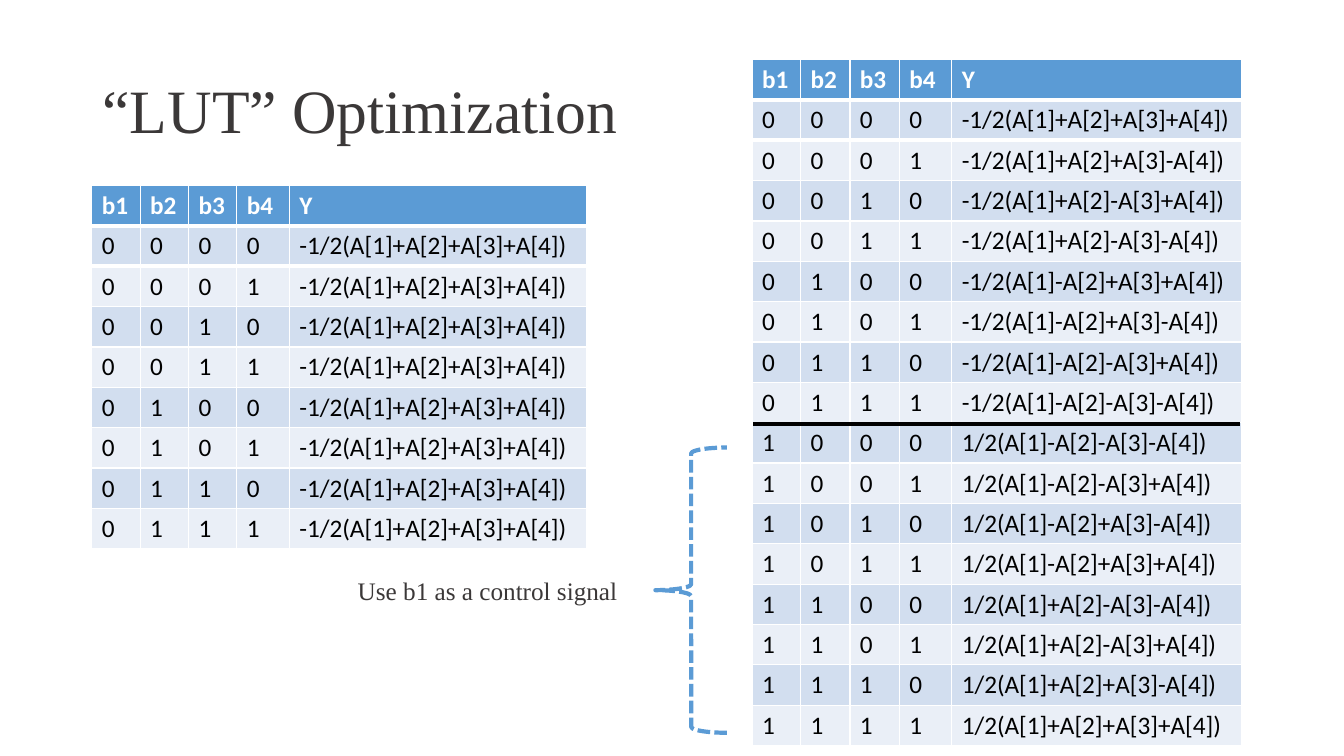
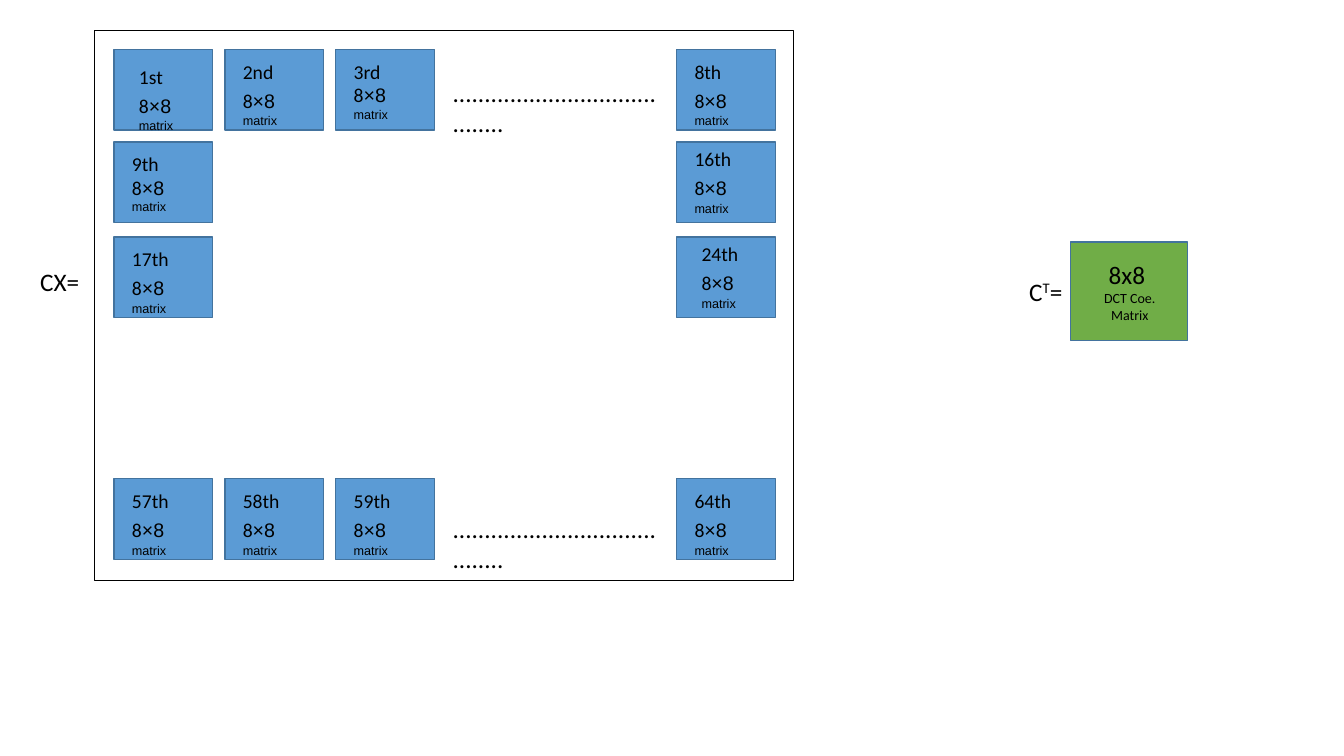
from itertools import product

from lxml import etree
from pptx import Presentation
from pptx.dml.color import RGBColor
from pptx.enum.dml import MSO_LINE
from pptx.enum.shapes import MSO_CONNECTOR, MSO_SHAPE
from pptx.enum.text import MSO_ANCHOR, PP_ALIGN
from pptx.oxml.ns import qn
from pptx.util import Inches, Pt

BLACK = RGBColor(0x00, 0x00, 0x00)
WHITE = RGBColor(0xFF, 0xFF, 0xFF)
INK = RGBColor(0x3B, 0x38, 0x38)
BLUE = RGBColor(0x5B, 0x9B, 0xD5)
EDGE = RGBColor(0x43, 0x73, 0x9E)
GREEN = RGBColor(0x70, 0xAD, 0x47)
BANDS = (RGBColor(0xD2, 0xDE, 0xEF), RGBColor(0xEA, 0xEF, 0xF7))

SERIF, SANS, ARIAL = "Times New Roman", "Calibri", "Arial"
DASH = MSO_LINE.SQUARE_DOT
RECTANGLE, BRACE = MSO_SHAPE.RECTANGLE, MSO_SHAPE.LEFT_BRACE
STRAIGHT = MSO_CONNECTOR.STRAIGHT
MIDDLE, CENTER, LEFT = MSO_ANCHOR.MIDDLE, PP_ALIGN.CENTER, PP_ALIGN.LEFT

ROW_HEIGHT = 0.4
BITS = ("b1", "b2", "b3", "b4")
TILE_WIDTH, TILE_HEIGHT = 0.98, 0.8
COLUMN_OFFSETS = (0.19, 1.29, 2.39, 5.77)
ROW_OFFSETS = (0.19, 1.11, 2.05, 4.45)
LABEL_OFFSET = (0.08, 0.05)
LABEL_SHIFTS = {"1st": (0.15, 0.1), "16th": (0.08, 0), "24th": (0.15, 0)}
COMPACT_LABELS = ("3rd", "9th")
TILES = (
    ("1st", 0, 0), ("2nd", 1, 0), ("3rd", 2, 0), ("8th", 3, 0),
    ("9th", 0, 1), ("16th", 3, 1),
    ("17th", 0, 2), ("24th", 3, 2),
    ("57th", 0, 3), ("58th", 1, 3), ("59th", 2, 3), ("64th", 3, 3),
)


def add_run(paragraph, text, size=18, font=SANS, color=BLACK, bold=False, baseline=None):
    run = paragraph.add_run()
    run.text = text
    run.font.size = Pt(size)
    run.font.name = font
    run.font.color.rgb = color
    run.font.bold = bold
    if baseline:
        run._r.get_or_add_rPr().set("baseline", str(baseline * 1000))


def add_text(shapes, box, paragraphs, align=LEFT):
    shape = shapes.add_textbox(*map(Inches, box))
    frame = shape.text_frame
    frame.word_wrap = True
    for index, runs in enumerate(paragraphs):
        paragraph = frame.paragraphs[0] if index == 0 else frame.add_paragraph()
        paragraph.alignment = align
        for text, style in runs:
            add_run(paragraph, text, **style)
    return shape


def add_outline(shapes, kind, box, line, fill=None, width=1):
    shape = shapes.add_shape(kind, *map(Inches, box))
    shape.shadow.inherit = False
    if fill is None:
        shape.fill.background()
    else:
        shape.fill.solid()
        shape.fill.fore_color.rgb = fill
    shape.line.color.rgb = line
    shape.line.width = Pt(width)
    return shape


def add_title(slide, text):
    title = add_text(slide.shapes, (0.92, 0.4, 11.5, 1.45),
                     [[(text, dict(size=44, font=SERIF, color=INK))]])
    title.text_frame.vertical_anchor = MIDDLE
    title.text_frame.paragraphs[0].line_spacing = 0.9


def formula(bits):
    signs = ["+" if bit == bits[0] else "-" for bit in bits[1:]]
    terms = "".join(f"{sign}A[{index}]" for index, sign in enumerate(signs, 2))
    return f"{'' if bits[0] else '-'}1/2(A[1]{terms})"


def set_border(cell, side, color, width):
    properties = cell._tc.get_or_add_tcPr()
    border = etree.Element(qn(f"a:{side}"), w=str(Pt(width)))
    fill = etree.SubElement(border, qn("a:solidFill"))
    etree.SubElement(fill, qn("a:srgbClr"), val=str(color))
    properties.insert(0, border)


def add_lookup_table(slide, left, top, widths, rows):
    rows = [(*BITS, "Y"), *rows]
    frame = slide.shapes.add_table(
        len(rows), len(widths), Inches(left), Inches(top),
        Inches(sum(widths)), Inches(ROW_HEIGHT * len(rows)))
    table = frame.table
    for column, width in zip(table.columns, widths):
        column.width = Inches(width)
    for row_index, values in enumerate(rows):
        header = row_index == 0
        table.rows[row_index].height = Inches(ROW_HEIGHT)
        for column_index, value in enumerate(values):
            cell = table.cell(row_index, column_index)
            cell.fill.solid()
            cell.fill.fore_color.rgb = BLUE if header else BANDS[(row_index - 1) % 2]
            if header:
                set_border(cell, "lnB", WHITE, 3)
            elif row_index == 1:
                set_border(cell, "lnT", WHITE, 3)
            add_run(cell.text_frame.paragraphs[0], str(value),
                    color=WHITE if header else BLACK, bold=header)


def add_divider(slide, left, right, y):
    line = slide.shapes.add_connector(
        STRAIGHT, Inches(left), Inches(y), Inches(right), Inches(y))
    line.line.color.rgb = BLACK
    line.line.width = Pt(3)
    etree.SubElement(line._element.spPr, qn("a:effectLst"))


def build_lookup_slide(slide):
    add_title(slide, "“LUT” Optimization")
    brace = add_outline(slide.shapes, BRACE, (6.5, 4.44, 0.71, 2.83), BLUE, width=3)
    brace.line.dash_style = DASH
    add_text(slide.shapes, (3.45, 5.66, 2.84, 0.4),
             [[("Use b1 as a control signal", dict(font=SERIF, color=INK))]])
    all_bits = list(product((0, 1), repeat=4))
    add_lookup_table(slide, 0.91, 1.84, (0.48, 0.48, 0.48, 0.52, 2.95),
                     [(*bits, formula(all_bits[0])) for bits in all_bits[:8]])
    add_lookup_table(slide, 7.46, 0.59, (0.48, 0.49, 0.49, 0.52, 2.88),
                     [(*bits, formula(bits)) for bits in all_bits])
    add_divider(slide, 7.47, 12.3, 4.21)


def add_tile(shapes, left, top, ordinal):
    add_outline(shapes, RECTANGLE, (left, top, TILE_WIDTH, TILE_HEIGHT), EDGE, BLUE)
    shift_x, shift_y = LABEL_SHIFTS.get(ordinal, LABEL_OFFSET)
    arial = dict(size=14, font=ARIAL)
    if ordinal in COMPACT_LABELS:
        height, middle = 0.72, [("×8 ", arial)]
    else:
        height, middle = 0.79, [("×8", arial), (" ", dict(font=ARIAL))]
    add_text(shapes, (left + shift_x, top + shift_y, 0.83, height), [
        [(ordinal, dict(size=14))],
        [("8", dict(size=14)), *middle, ("matrix", dict(size=9, font=ARIAL))],
    ])


def add_block_matrix(slide, left, top, width, height):
    shapes = slide.shapes.add_group_shape().shapes
    add_outline(shapes, RECTANGLE, (left + 0.03, top + 0.31, 6.8, 5.15), WHITE)
    for ordinal, column, row in TILES:
        add_tile(shapes, left + COLUMN_OFFSETS[column], top + ROW_OFFSETS[row], ordinal)
    for offset in (0.42, 4.74):
        add_text(shapes, (left + 3.45, top + offset, 2.25, 0.71), [[("." * 40, {})]])
    add_outline(shapes, RECTANGLE, (left, top, width, height), BLACK)
    add_text(shapes, (left - 0.64, top + 2.29, 0.67, 0.4), [[("CX=", {})]])


def add_coefficient_matrix(slide, left, top, width, height):
    shapes = slide.shapes.add_group_shape().shapes
    add_outline(shapes, RECTANGLE, (left, top, width, height), EDGE, GREEN)
    add_text(shapes, (left + 0.18, top + 0.12, 0.81, 0.74),
             [[("8x8 ", {})], [("DCT Coe. Matrix", dict(size=10))]], CENTER)
    add_text(shapes, (left - 0.51, top + 0.29, 0.8, 0.4),
             [[("C", {}), ("T", dict(baseline=30)), ("=", {})]])


def build_matrix_slide(slide):
    add_block_matrix(slide, 0.94, 0.3, 6.93, 5.46)
    add_coefficient_matrix(slide, 10.62, 2.4, 1.16, 0.98)


def main():
    presentation = Presentation()
    presentation.slide_width = Inches(13.33)
    presentation.slide_height = Inches(7.5)
    blank = presentation.slide_layouts[6]
    for build in (build_lookup_slide, build_matrix_slide):
        build(presentation.slides.add_slide(blank))
    presentation.save("out.pptx")


if __name__ == "__main__":
    main()
